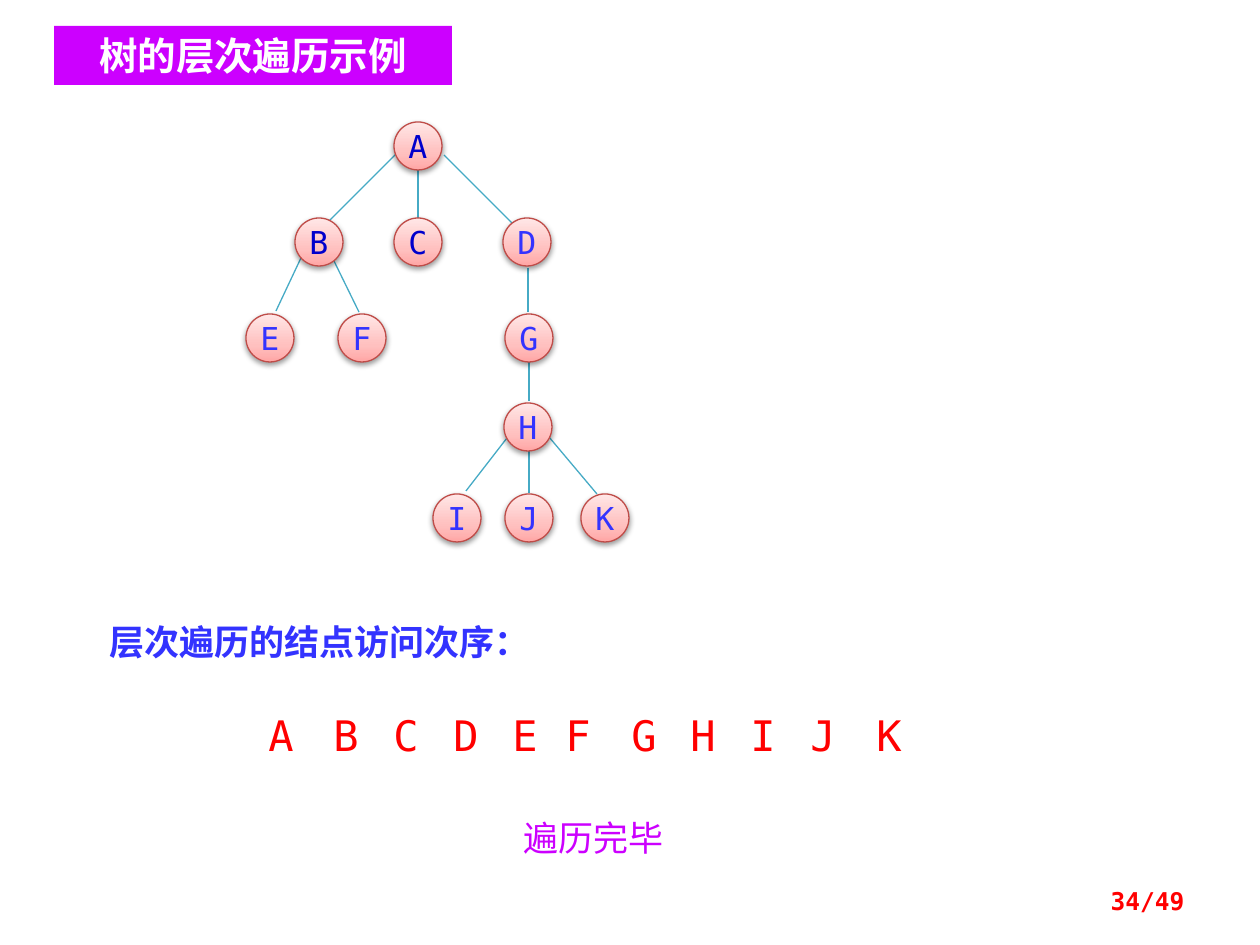
from dataclasses import dataclass

from lxml.etree import SubElement
from pptx import Presentation
from pptx.dml.color import RGBColor
from pptx.enum.shapes import MSO_CONNECTOR, MSO_SHAPE
from pptx.enum.text import MSO_ANCHOR, PP_ALIGN
from pptx.oxml import parse_xml
from pptx.oxml.ns import nsdecls, qn
from pptx.util import Pt

EMU_PER_PX = 914400 / 126


@dataclass(frozen=True)
class Theme:
    mono: str = "DejaVu Sans Mono"
    chinese: str = "Noto Sans CJK SC"
    white: str = "FFFFFF"
    purple: str = "CC00FF"
    blue: str = "3333FF"
    navy: str = "0000CC"
    red: str = "FF0000"
    edge: str = "46AAC5"
    node_line: str = "BF4C48"
    node_stops: tuple = ((0, "FFA6A5"), (35, "FFC0BF"), (100, "FFE7E7"))
    line_width: float = 0.75
    title_size: int = 22
    body_size: int = 20
    node_size: int = 18
    visit_size: int = 24
    page_size: int = 14


THEME = Theme()
NODE_DIAMETER = 48
VISIT_TOP, VISIT_WIDTH, VISIT_HEIGHT = 703, 49, 64

# Tree levels: top of the row, then (label, node left, visit letter left)
LEVELS = (
    (122, (("A", 394, 256),)),
    (218, (("B", 295, 321), ("C", 394, 381), ("D", 503, 441))),
    (314, (("E", 246, 500), ("F", 338, 553), ("G", 505, 619))),
    (403, (("H", 504, 678),)),
    (494, (("I", 433, 738), ("J", 505, 798), ("K", 581, 864))),
)

# Branches from parent to child: x1, y1, x2, y2
EDGES = (
    (396, 154, 329, 221),  # A-B
    (418, 169, 418, 218),  # A-C
    (444, 155, 512, 223),  # A-D
    (301, 258, 276, 311),  # B-E
    (334, 261, 359, 312),  # B-F
    (528, 268, 528, 312),  # D-G
    (529, 362, 529, 401),  # G-H
    (507, 438, 466, 491),  # H-I
    (529, 450, 529, 493),  # H-J
    (549, 437, 597, 494),  # H-K
)


def px(*lengths):
    return [round(length * EMU_PER_PX) for length in lengths]


def color(value):
    return RGBColor.from_string(value)


def write_text(shape, text, font, frame=None, align=PP_ALIGN.LEFT):
    """Put one formatted run into a shape."""
    text_frame = shape.text_frame
    frame_format = {"word_wrap": True, "vertical_anchor": MSO_ANCHOR.TOP}
    for name, value in (frame_format | (frame or {})).items():
        setattr(text_frame, name, value)
    paragraph = text_frame.paragraphs[0]
    paragraph.alignment = align
    run = paragraph.add_run()
    run.text = text
    font = dict(font)
    run.font.color.rgb = color(font.pop("color"))
    for name, value in font.items():
        setattr(run.font, name, value)
    SubElement(run.font._element, qn("a:ea"), typeface=THEME.chinese)


def add_text(slide, box, text, font, **layout):
    shape = slide.shapes.add_textbox(*px(*box))
    write_text(shape, text, font, **layout)


def add_title(slide, box, text, font):
    shape = slide.shapes.add_shape(MSO_SHAPE.RECTANGLE, *px(*box))
    shape.shadow.inherit = False
    shape.fill.solid()
    shape.fill.fore_color.rgb = color(THEME.purple)
    shape.line.fill.background()
    write_text(shape, text, font, {"vertical_anchor": MSO_ANCHOR.MIDDLE},
               PP_ALIGN.CENTER)


def add_edge(slide, ends):
    connector = slide.shapes.add_connector(MSO_CONNECTOR.STRAIGHT, *px(*ends))
    connector.line.color.rgb = color(THEME.edge)
    connector.line.width = Pt(THEME.line_width)
    SubElement(connector._element.spPr, qn("a:effectLst"))


def add_node_finish(shape):
    """Give a node its upward gradient and soft drop shadow."""
    stops = "".join(
        f'<a:gs pos="{position * 1000}"><a:srgbClr val="{value}"/></a:gs>'
        for position, value in THEME.node_stops)
    gradient = parse_xml(
        f'<a:gradFill {nsdecls("a")} rotWithShape="1"><a:gsLst>{stops}</a:gsLst>'
        '<a:lin ang="16200000" scaled="0"/></a:gradFill>')
    shadow = parse_xml(
        f'<a:outerShdw {nsdecls("a")} blurRad="{Pt(3.1)}" dist="{Pt(1.6)}" '
        'dir="5400000" rotWithShape="0"><a:srgbClr val="000000">'
        '<a:alpha val="38000"/></a:srgbClr></a:outerShdw>')
    properties = shape._element.spPr
    properties.find(qn("a:prstGeom")).addnext(gradient)
    properties.find(qn("a:effectLst")).append(shadow)


def add_node(slide, left, top, label):
    shape = slide.shapes.add_shape(
        MSO_SHAPE.OVAL, *px(left, top, NODE_DIAMETER, NODE_DIAMETER))
    shape.shadow.inherit = False
    shape.line.color.rgb = color(THEME.node_line)
    shape.line.width = Pt(THEME.line_width)
    add_node_finish(shape)
    font = {"name": THEME.mono, "size": Pt(THEME.node_size),
            "color": THEME.navy if label in "ABC" else THEME.blue}
    write_text(shape, label, font,
               {"word_wrap": False, "vertical_anchor": MSO_ANCHOR.MIDDLE},
               PP_ALIGN.CENTER)


def add_tree(slide):
    """Draw the branches, then each node with its letter in the visit order."""
    visit_font = {"name": THEME.mono, "size": Pt(THEME.visit_size),
                  "color": THEME.red}
    for ends in EDGES:
        add_edge(slide, ends)
    for top, nodes in LEVELS:
        for label, node_left, visit_left in nodes:
            add_node(slide, node_left, top, label)
            add_text(slide, (visit_left, VISIT_TOP, VISIT_WIDTH, VISIT_HEIGHT),
                     label, visit_font, frame={"word_wrap": False})


def main():
    presentation = Presentation()
    presentation.slide_width, presentation.slide_height = px(1260, 945)
    slide = presentation.slides.add_slide(presentation.slide_layouts[6])

    add_tree(slide)

    # Heading of the visit order
    add_text(slide, (97, 614, 669, 55), "层次遍历的结点访问次序：",
             {"name": THEME.chinese, "size": Pt(THEME.body_size),
              "color": THEME.blue, "bold": True})

    # Title
    add_title(slide, (54, 26, 398, 59), "树的层次遍历示例",
              {"name": THEME.chinese, "size": Pt(THEME.title_size),
               "color": THEME.white, "bold": True})

    # Closing remark
    add_text(slide, (455, 810, 277, 55), "遍历完毕",
             {"name": THEME.mono, "size": Pt(THEME.body_size),
              "color": THEME.purple}, align=PP_ALIGN.CENTER)

    # Page number
    add_text(slide, (903, 876, 294, 50), "34/49",
             {"name": THEME.mono, "size": Pt(THEME.page_size),
              "color": THEME.red, "bold": True},
             frame={"vertical_anchor": MSO_ANCHOR.MIDDLE},
             align=PP_ALIGN.RIGHT)

    presentation.save("out.pptx")


if __name__ == "__main__":
    main()
